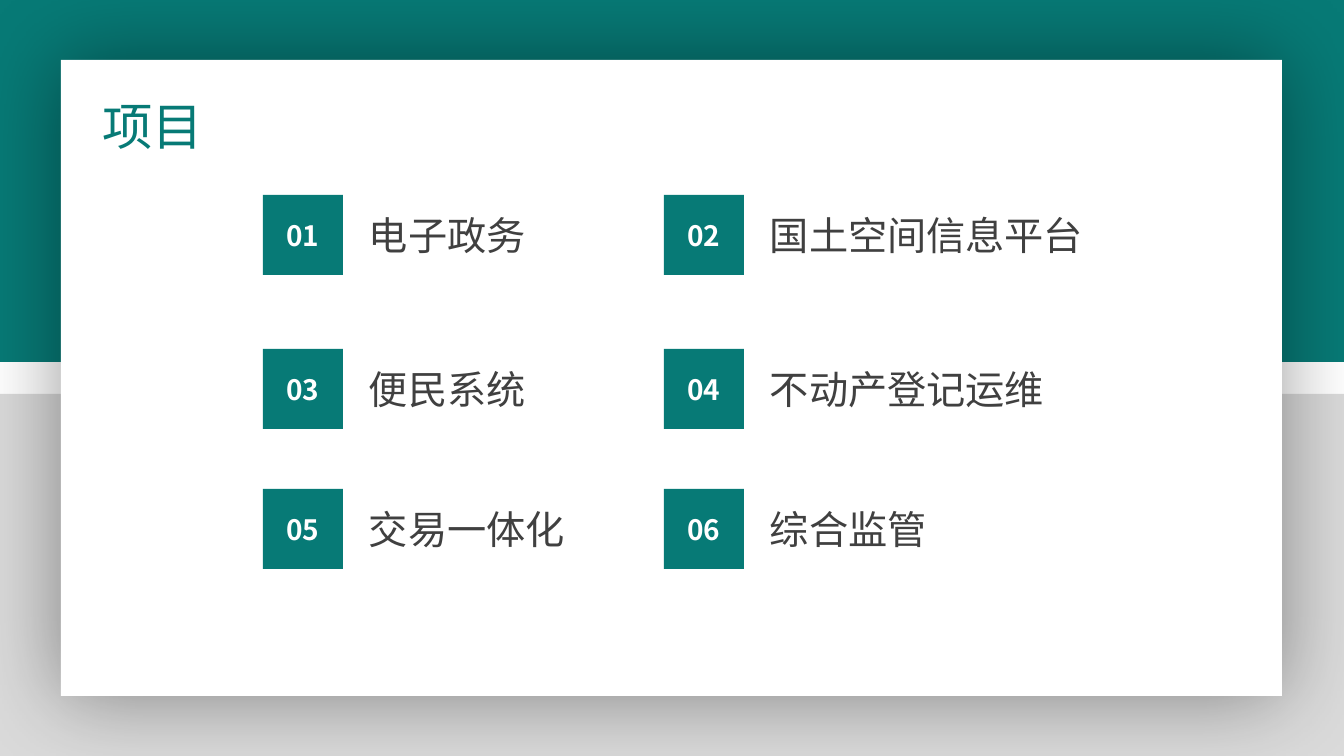
"""Build the project overview slide: a white card with six numbered topics."""
from lxml.etree import SubElement
from pptx import Presentation
from pptx.dml.color import RGBColor
from pptx.enum.shapes import MSO_SHAPE
from pptx.enum.text import MSO_ANCHOR, MSO_AUTO_SIZE, PP_ALIGN
from pptx.oxml import parse_xml
from pptx.oxml.ns import nsdecls, qn
from pptx.util import Pt

TITLE = "项目"
TOPICS = ["电子政务", "国土空间信息平台", "便民系统", "不动产登记运维", "交易一体化", "综合监管"]
COLORS = {"teal": "077A76", "gray": "DADADA", "white": "FFFFFF", "text": "404040"}
FONT = "Noto Sans CJK SC"

PAGE_WIDTH, PAGE_HEIGHT = 1344, 756
BAND_HEIGHT = 362
CARD = (61, 60, 1221, 636)
TITLE_BOX = (92, 90, 361, 72)
COLUMN_LEFTS = (263, 664)
ROW_TOPS = (195, 349, 489)
TILE = 80
LABEL_OFFSET, LABEL_WIDTH, LABEL_HEIGHT = 96, 380, 57


def emu(pixels):
    return round(pixels * 914400 / 100.8)


def place(*pixels):
    return [emu(value) for value in pixels]


def add_block(page, area, color):
    block = page.shapes.add_shape(MSO_SHAPE.RECTANGLE, *place(*area))
    block.shadow.inherit = False
    block.fill.solid()
    block.fill.fore_color.rgb = RGBColor.from_string(COLORS[color])
    block.line.fill.background()
    return block


def add_glow_shadow(block):
    block.element.spPr.remove(block.element.spPr.find(qn("a:effectLst")))
    block.element.spPr.append(parse_xml(
        f'<a:effectLst {nsdecls("a")}>'
        f'<a:outerShdw blurRad="{Pt(63)}" dist="0" algn="ctr" rotWithShape="0">'
        '<a:srgbClr val="000000"><a:alpha val="40000"/></a:srgbClr>'
        '</a:outerShdw></a:effectLst>'))


def write(box, text, size, color, bold=False, align=PP_ALIGN.LEFT, anchor=MSO_ANCHOR.TOP):
    frame = box.text_frame
    frame.text = text
    frame.word_wrap = True
    frame.auto_size = MSO_AUTO_SIZE.NONE
    frame.vertical_anchor = anchor
    para = frame.paragraphs[0]
    para.alignment = align
    span = para.runs[0]
    span.font.size = Pt(size)
    span.font.bold = bold
    span.font.name = FONT
    span.font.color.rgb = RGBColor.from_string(COLORS[color])
    SubElement(span.font._element, qn("a:ea"), typeface=FONT)


def add_topic(page, index, topic):
    row, column = divmod(index, len(COLUMN_LEFTS))
    left, top = COLUMN_LEFTS[column], ROW_TOPS[row]
    tile = add_block(page, (left, top, TILE, TILE), "teal")
    write(tile, f"{index + 1:02d}", 20, "white", True, PP_ALIGN.CENTER, MSO_ANCHOR.MIDDLE)
    label_top = top + (TILE - LABEL_HEIGHT) / 2
    label = page.shapes.add_textbox(
        *place(left + LABEL_OFFSET, label_top, LABEL_WIDTH, LABEL_HEIGHT))
    write(label, topic, 28, "text")


deck = Presentation()
deck.slide_width, deck.slide_height = place(PAGE_WIDTH, PAGE_HEIGHT)
page = deck.slides.add_slide(deck.slide_layouts[5])

add_block(page, (0, 0, PAGE_WIDTH, BAND_HEIGHT), "teal")
add_block(page, (0, PAGE_HEIGHT - BAND_HEIGHT, PAGE_WIDTH, BAND_HEIGHT), "gray")
add_glow_shadow(add_block(page, CARD, "white"))

title = page.shapes.title
title.left, title.top, title.width, title.height = place(*TITLE_BOX)
write(title, TITLE, 36, "teal")
title.element.getparent().append(title.element)

for index, topic in enumerate(TOPICS):
    add_topic(page, index, topic)

deck.save("out.pptx")
